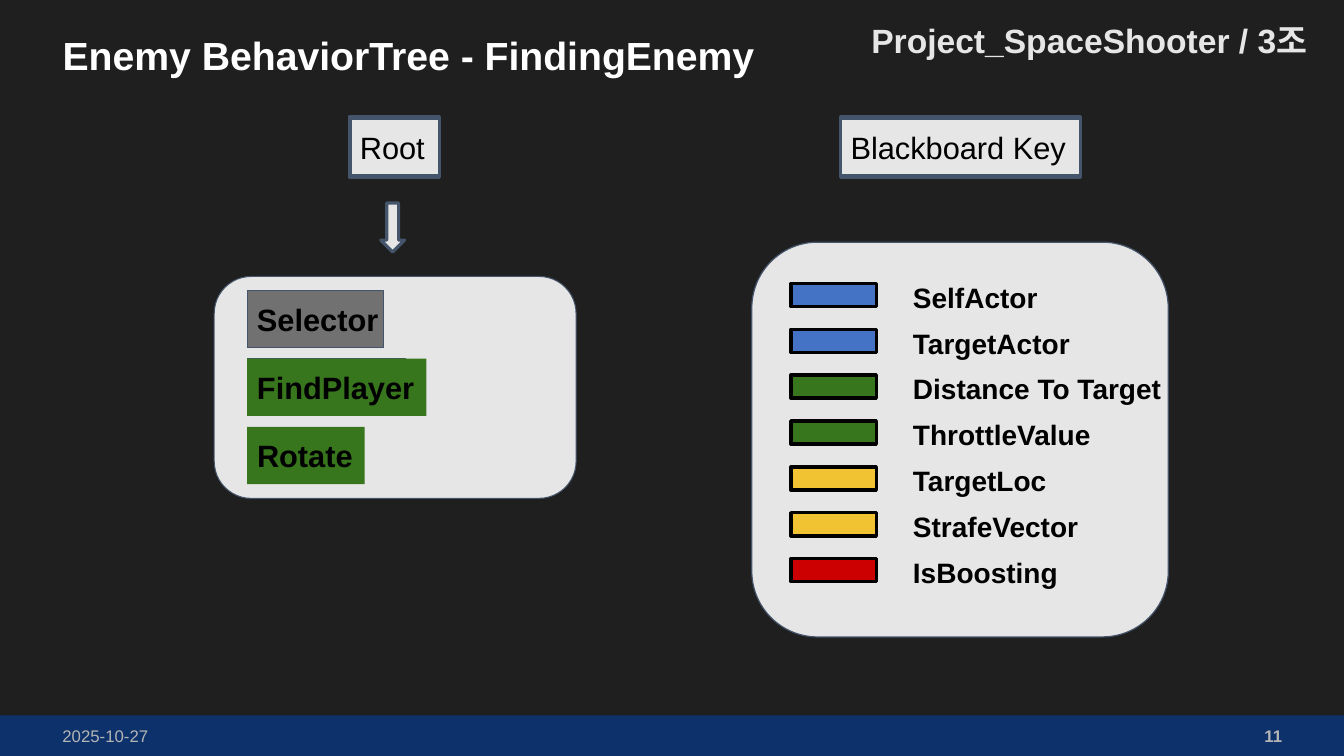
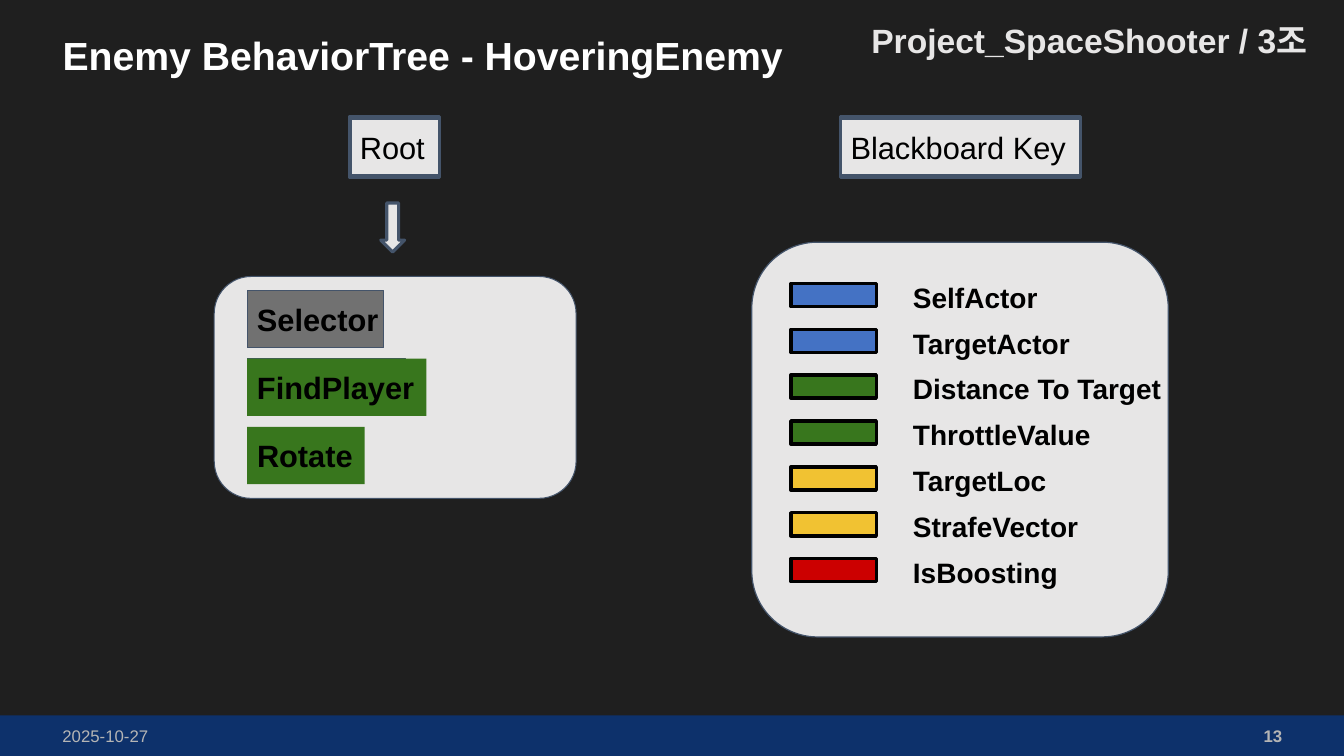
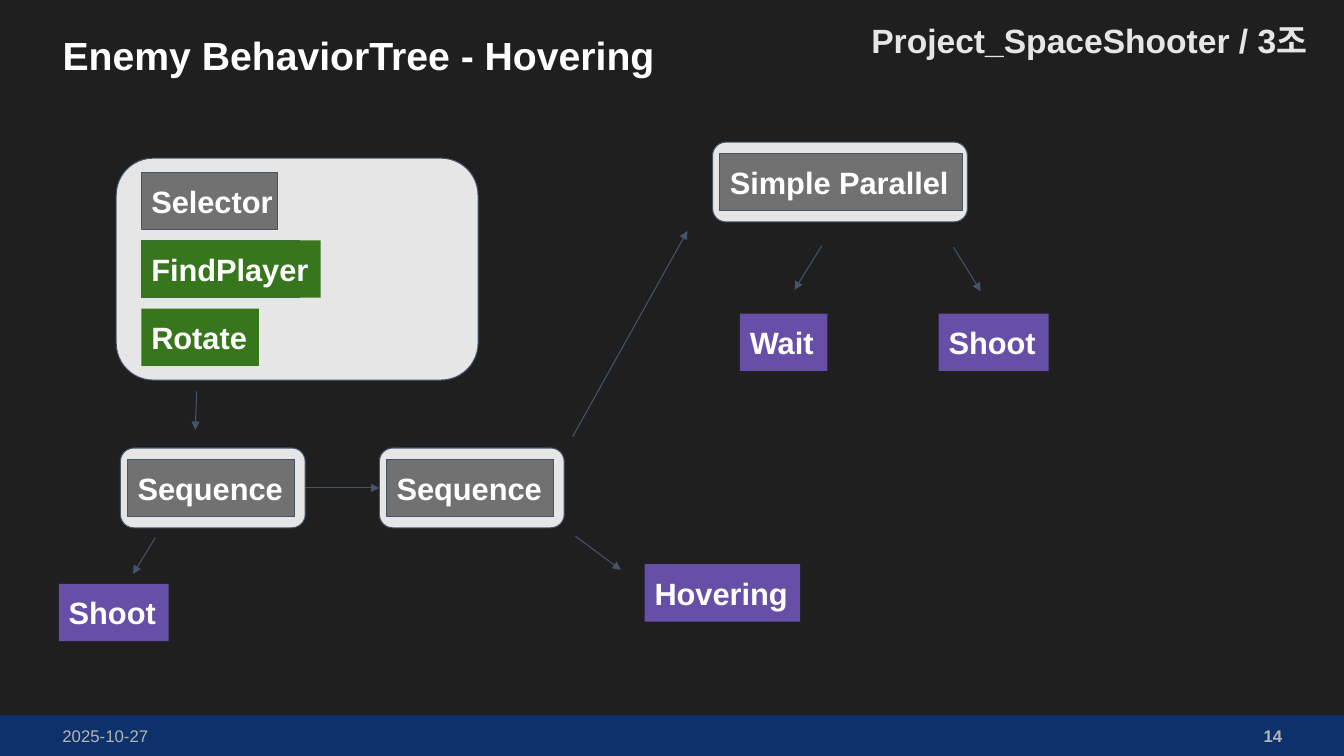
from lxml.etree import SubElement
from pptx import Presentation
from pptx.dml.color import RGBColor
from pptx.enum.shapes import MSO_CONNECTOR, MSO_SHAPE
from pptx.enum.text import MSO_ANCHOR, MSO_AUTO_SIZE, PP_ALIGN
from pptx.oxml.ns import qn
from pptx.util import Pt

BACKGROUND = RGBColor(0x1F, 0x1F, 0x1F)
BAND = RGBColor(0x0D, 0x32, 0x6F)
WHITE = RGBColor(0xFF, 0xFF, 0xFF)
BLACK = RGBColor(0x00, 0x00, 0x00)
LIGHT = RGBColor(0xE7, 0xE6, 0xE6)
FOOTER = RGBColor(0xB5, 0xB5, 0xB5)
SLATE = RGBColor(0x44, 0x54, 0x6A)
GREY = RGBColor(0x71, 0x71, 0x71)
GREEN = RGBColor(0x38, 0x76, 0x1D)
PURPLE = RGBColor(0x67, 0x4E, 0xA7)
BLUE = RGBColor(0x44, 0x72, 0xC4)
YELLOW = RGBColor(0xF1, 0xC2, 0x32)
RED = RGBColor(0xCC, 0x00, 0x00)

FONT = "Arial"
SLIDE_WIDTH, SLIDE_HEIGHT = 960, 540
NODE_HEIGHT = 41
NODE_STEP = 48.7
KEY_STEP = 32.75
KEYS = [
    ("SelfActor", BLUE),
    ("TargetActor", BLUE),
    ("Distance To Target", GREEN),
    ("ThrottleValue", GREEN),
    ("TargetLoc", YELLOW),
    ("StrafeVector", YELLOW),
    ("IsBoosting", RED),
]


def set_values(target, values):
    """Set each named attribute of the target."""
    for name, value in values.items():
        setattr(target, name, value)


def write_text(shape, text, size, color, bold=True, margins=(7.2, 7.2, 7.2, 7.2),
               anchor=MSO_ANCHOR.TOP, align=PP_ALIGN.LEFT, spacing=1.0):
    """Write one formatted paragraph into a shape."""
    left, top, right, bottom = margins
    frame = shape.text_frame
    set_values(frame, {
        "word_wrap": True,
        "auto_size": MSO_AUTO_SIZE.NONE,
        "vertical_anchor": anchor,
        "margin_left": Pt(left),
        "margin_top": Pt(top),
        "margin_right": Pt(right),
        "margin_bottom": Pt(bottom),
    })
    paragraph = frame.paragraphs[0]
    set_values(paragraph, {"alignment": align, "line_spacing": spacing, "space_before": Pt(0)})
    run = paragraph.add_run()
    run.text = text
    set_values(run.font, {"name": FONT, "size": Pt(size), "bold": bold})
    run.font.color.rgb = color


def add_box(slide, box, fill=None, line=None, line_width=0.75, preset=MSO_SHAPE.RECTANGLE):
    """Add a flat preset shape with the given fill and line."""
    shape = slide.shapes.add_shape(preset, *map(Pt, box))
    shape.shadow.inherit = False
    for part, color in ((shape.fill, fill), (shape.line.fill, line)):
        if color is None:
            part.background()
        else:
            part.solid()
            part.fore_color.rgb = color
    if line is not None:
        shape.line.width = Pt(line_width)
    return shape


def add_label(slide, box, text, size, color, **options):
    """Add a text box with one line of text."""
    write_text(slide.shapes.add_textbox(*map(Pt, box)), text, size, color, **options)


def add_node(slide, left, top, width, text, fill, color=WHITE, line=None):
    """Add a filled tree node with its name."""
    node = add_box(slide, (left, top, width, NODE_HEIGHT), fill, line)
    write_text(node, text, 22, color, margins=(7.2, 7.2, 0, 7.2))


def add_panel(slide, box, line_width=0.75):
    """Add a light rounded panel."""
    add_box(slide, box, LIGHT, SLATE, line_width, MSO_SHAPE.ROUNDED_RECTANGLE)


def add_arrow(slide, start, end):
    """Add a thin arrow between two points."""
    arrow = slide.shapes.add_connector(MSO_CONNECTOR.STRAIGHT, *map(Pt, start + end))
    arrow.line.width = Pt(0.75)
    arrow.line.color.rgb = SLATE
    SubElement(arrow.line._get_or_add_ln(), qn("a:tailEnd"), type="triangle")
    SubElement(arrow.element.spPr, qn("a:effectLst"))


def add_heading(slide, left, top, width, text):
    """Add a framed column heading."""
    add_box(slide, (left, top, width, 44), LIGHT, SLATE, 2.25)
    label = add_box(slide, (left, top + 1.5, width, NODE_HEIGHT), None, SLATE, 2.25)
    write_text(label, text, 22, BLACK, bold=False, margins=(7.2, 7.2, 0, 7.2))


def add_selector_panel(slide, left, top, indent, color):
    """Add the selector panel with its decorator and service."""
    add_panel(slide, (left, top, 258.5, 158.5))
    node_left = left + indent
    first, second, third = (top + 10 + NODE_STEP * row for row in range(3))
    add_node(slide, node_left, first, 97.5, "Selector", GREY, color, SLATE)
    add_box(slide, (node_left, second, 113, NODE_HEIGHT), GREY, SLATE)
    add_node(slide, node_left, second, 128, "FindPlayer", GREEN, color)
    add_node(slide, node_left, third, 84, "Rotate", GREEN, color)


def add_key_panel(slide, left, top):
    """Add the panel that lists the blackboard keys by type colour."""
    add_panel(slide, (left, top, 297.5, 282), 0.86)
    for row, (name, color) in enumerate(KEYS):
        row_top = top + 29.5 + KEY_STEP * row
        add_box(slide, (left + 28, row_top, 61, 16.5), color, BLACK, 2.59)
        add_label(slide, (left + 106.5, row_top - 11, 202.5, NODE_HEIGHT), name, 20, BLACK,
                  margins=(8.64, 8.64, 8.64, 8.64))


def add_composite(slide, left, top, width, node_width, text):
    """Add a composite node inside a rounded frame."""
    add_panel(slide, (left, top, width, 57))
    add_node(slide, left + 5.25, top + 8, node_width, text, GREY, WHITE, SLATE)


def add_titled_slide(presentation, layout, title, number):
    """Add a slide with title, project name and footers."""
    slide = presentation.slides.add_slide(layout)
    title_shape = slide.shapes.title
    set_values(title_shape, {"left": Pt(37.5), "top": Pt(0), "width": Pt(885.5), "height": Pt(74)})
    write_text(title_shape, title, 28, WHITE, margins=(7.2, 3.6, 7.2, 3.6),
               anchor=MSO_ANCHOR.MIDDLE, spacing=1.15)
    footer = {"margins": (7.2, 3.6, 7.2, 3.6)}
    add_label(slide, (707, 515, 216, 22), number, 12, FOOTER, align=PP_ALIGN.RIGHT, **footer)
    add_label(slide, (37.5, 515, 216, 22), "2025-10-27", 12, FOOTER, bold=False, **footer)
    add_label(slide, (577, 10, 364, NODE_HEIGHT), "Project_SpaceShooter / 3조", 24, LIGHT,
              align=PP_ALIGN.RIGHT, spacing=0.9)
    return slide


def build_root_slide(presentation, layout, title, number):
    """Build a slide with the tree root and the blackboard keys."""
    slide = add_titled_slide(presentation, layout, title, number)
    add_heading(slide, 250, 83, 64, "Root")
    add_box(slide, (272, 145, 17, 35), LIGHT, SLATE, 2.25, MSO_SHAPE.DOWN_ARROW)
    add_selector_panel(slide, 153, 197.5, 23.5, BLACK)
    add_heading(slide, 600.5, 83, 171.5, "Blackboard Key")
    add_key_panel(slide, 537, 173)


def build_branch_slide(presentation, layout, title, number):
    """Build the slide with the branches of the hovering tree."""
    slide = add_titled_slide(presentation, layout, title, number)
    add_selector_panel(slide, 83, 113, 18, WHITE)
    for left in (86, 271):
        add_composite(slide, left, 320, 132, 119.5, "Sequence")
    add_composite(slide, 509, 101.5, 182, 173, "Simple Parallel")
    for left, top, width, task in (
        (42, 417, 78.5, "Shoot"),
        (460.5, 403, 111, "Hovering"),
        (528.5, 224, 62.5, "Wait"),
        (670.5, 224, 78.5, "Shoot"),
    ):
        add_node(slide, left, top, width, task, PURPLE)
    for start, end in (
        ((140.5, 279.5), (139.5, 307)),
        ((111, 384), (95, 410)),
        ((218, 348.5), (271, 348.5)),
        ((411, 383), (443.5, 407)),
        ((409, 312), (491, 165)),
        ((587, 175.5), (567.5, 207)),
        ((681, 176.5), (700.5, 208)),
    ):
        add_arrow(slide, start, end)


def add_layout_band(slide, layout):
    """Place the bottom band on the layout that all slides share."""
    for placeholder in list(layout.placeholders)[1:]:
        placeholder.element.getparent().remove(placeholder.element)
    band = add_box(slide, (0, 511, SLIDE_WIDTH, 29), BAND)
    color = band.element.spPr.find(qn("a:solidFill"))[0]
    SubElement(color, qn("a:alpha"), val="96000")
    layout.shapes.element.insert(2, band.element)


def main():
    """Build and save the presentation."""
    presentation = Presentation()
    set_values(presentation, {"slide_width": Pt(SLIDE_WIDTH), "slide_height": Pt(SLIDE_HEIGHT)})
    background = presentation.slide_master.background.fill
    background.solid()
    background.fore_color.rgb = BACKGROUND
    layout = presentation.slide_layouts[5]
    for build, name, number in (
        (build_root_slide, "FindingEnemy", "11"),
        (build_root_slide, "HoveringEnemy", "13"),
        (build_branch_slide, "Hovering", "14"),
    ):
        build(presentation, layout, f"Enemy BehaviorTree - {name}", number)
    add_layout_band(presentation.slides[0], layout)
    presentation.save("out.pptx")


if __name__ == "__main__":
    main()
